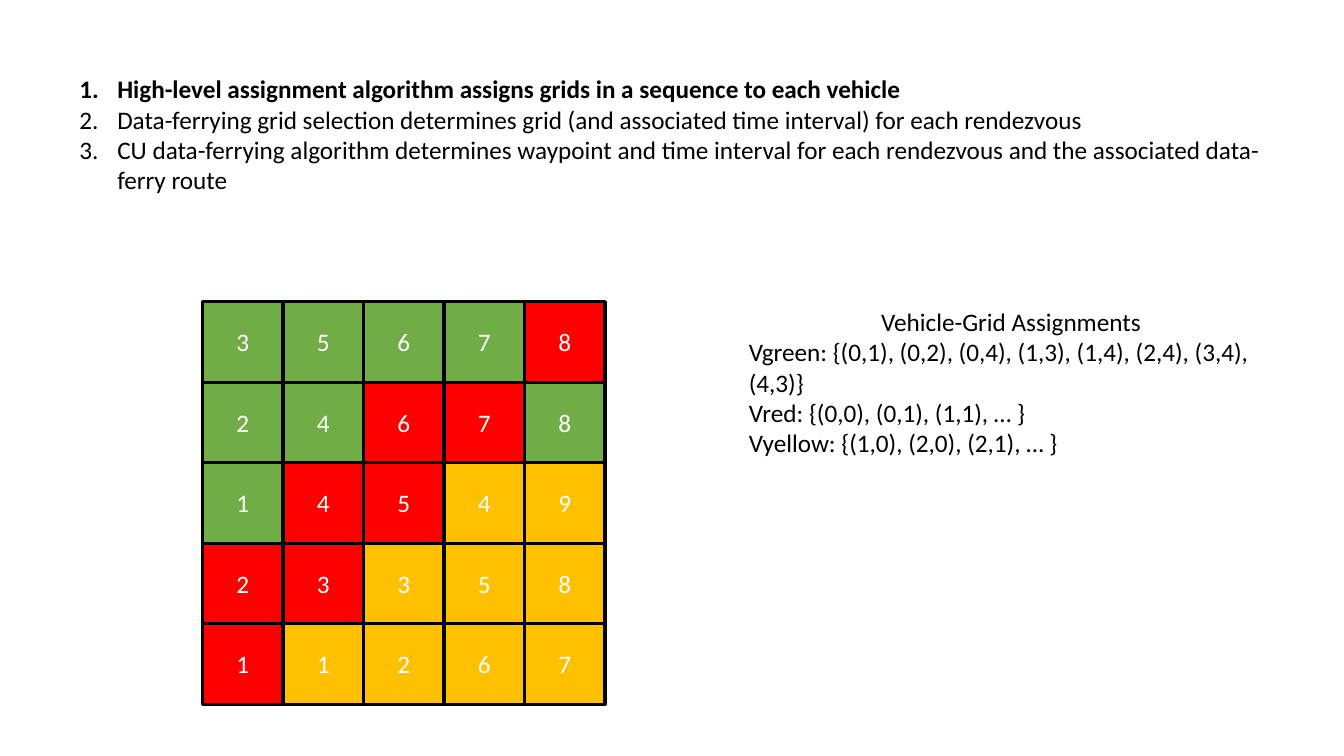
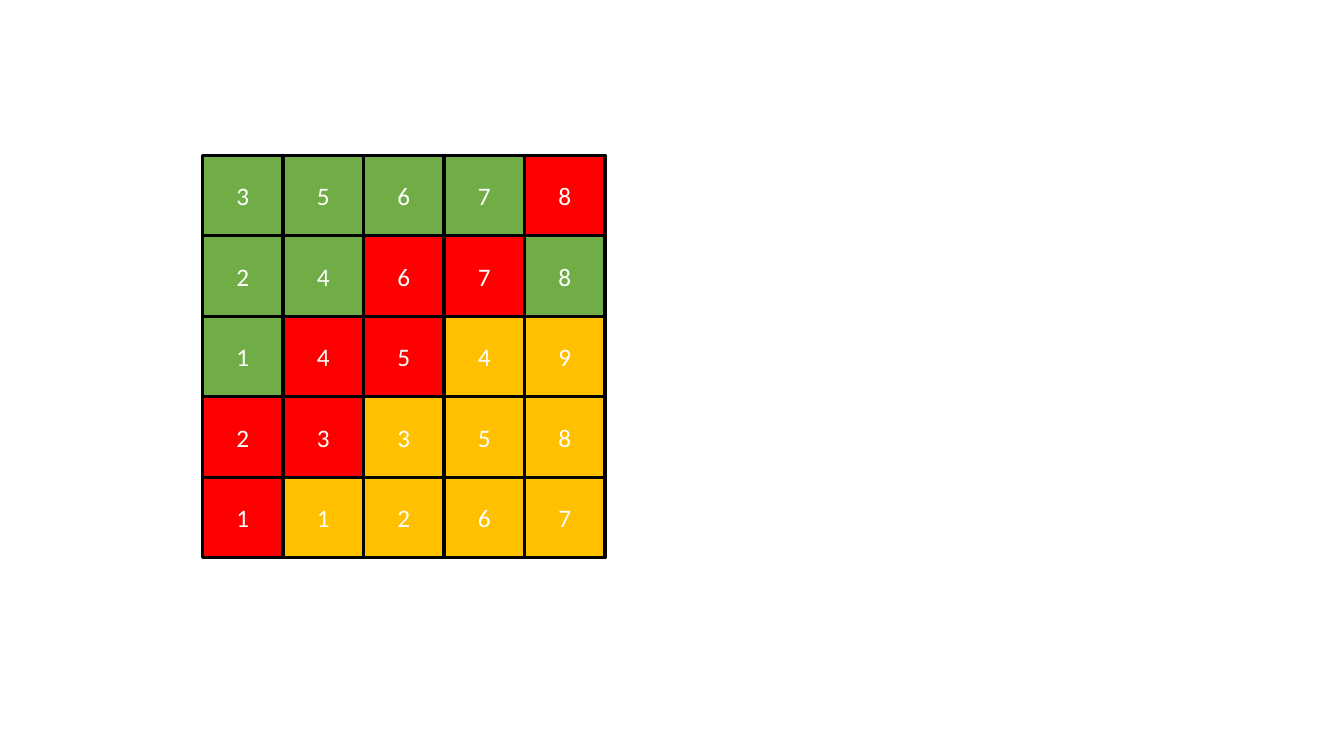
from pptx import Presentation
from pptx.dml.color import RGBColor
from pptx.enum.shapes import MSO_SHAPE
from pptx.enum.text import MSO_ANCHOR, MSO_AUTO_SIZE, PP_ALIGN
from pptx.oxml.xmlchemy import OxmlElement
from pptx.util import Pt

BLACK = RGBColor(0x00, 0x00, 0x00)
WHITE = RGBColor(0xFF, 0xFF, 0xFF)
GREEN = RGBColor(0x70, 0xAD, 0x47)
RED = RGBColor(0xFF, 0x00, 0x00)
YELLOW = RGBColor(0xFF, 0xC0, 0x00)

FONT = "Calibri"
TEXT_SIZE = Pt(18)
CELL_SIZE = 57.5
GRID_LEFT = 144.7
NUMBER_INDENT = Pt(27)

VEHICLE_COLOURS = {"G": GREEN, "R": RED, "Y": YELLOW}
VISIT_GRID = [
    "G3 G5 G6 G7 R8",
    "G2 G4 R6 R7 G8",
    "G1 R4 R5 Y4 Y9",
    "R2 R3 Y3 Y5 Y8",
    "R1 Y1 Y2 Y6 Y7",
]
PLANNING_STEPS = [
    "High-level assignment algorithm assigns grids in a sequence to each vehicle",
    "Data-ferrying grid selection determines grid (and associated time interval) "
    "for each rendezvous",
    "CU data-ferrying algorithm determines waypoint and time interval for each "
    "rendezvous and the associated data-ferry route",
]
ASSIGNMENTS = [
    "Vehicle-Grid Assignments",
    "Vgreen: {(0,1), (0,2), (0,4), (1,3), (1,4), (2,4), (3,4), (4,3)}",
    "Vred: {(0,0), (0,1), (1,1), … }",
    "Vyellow: {(1,0), (2,0), (2,1), … }",
]


def add_span(para, text, colour=BLACK, bold=False):
    """Add one run of text in the deck's font and size."""
    span = para.add_run()
    span.text = text
    span.font.name = FONT
    span.font.size = TEXT_SIZE
    span.font.bold = bold
    span.font.color.rgb = colour


def add_cell(group, left, top, colour, visit):
    """Add one grid cell with its place in the vehicle's sequence."""
    cell = group.shapes.add_shape(
        MSO_SHAPE.RECTANGLE, Pt(left), Pt(top), Pt(CELL_SIZE), Pt(CELL_SIZE))
    cell.shadow.inherit = False
    cell.fill.solid()
    cell.fill.fore_color.rgb = colour
    cell.line.color.rgb = BLACK
    cell.line.width = Pt(2.25)
    cell.text_frame.vertical_anchor = MSO_ANCHOR.MIDDLE
    para = cell.text_frame.paragraphs[0]
    para.alignment = PP_ALIGN.CENTER
    add_span(para, visit, WHITE)


def add_visit_grid(page, grid_top):
    """Add the grouped grid of vehicle visits."""
    group = page.shapes.add_group_shape()
    for row, codes in enumerate(VISIT_GRID):
        for column, (vehicle, visit) in enumerate(codes.split()):
            add_cell(group, GRID_LEFT + column * CELL_SIZE,
                     grid_top + row * CELL_SIZE,
                     VEHICLE_COLOURS[vehicle], visit)


def add_text(page, left, top, width, height, lines, bold_first=False):
    """Add a wrapped text box with one paragraph a line and return its paragraphs."""
    box = page.shapes.add_textbox(Pt(left), Pt(top), Pt(width), Pt(height))
    frame = box.text_frame
    frame.word_wrap = True
    frame.auto_size = MSO_AUTO_SIZE.SHAPE_TO_FIT_TEXT
    for index, line in enumerate(lines):
        para = frame.add_paragraph() if index else frame.paragraphs[0]
        add_span(para, line, bold=bold_first and index == 0)
    return frame.paragraphs


def number_paragraph(para):
    """Give a paragraph an automatic number and a hanging indent."""
    properties = para._p.get_or_add_pPr()
    properties.set("marL", str(NUMBER_INDENT))
    properties.set("indent", str(-NUMBER_INDENT))
    numbering = OxmlElement("a:buAutoNum")
    numbering.set("type", "arabicPeriod")
    properties.append(numbering)


def build_assignment_page(page):
    """Build the slide with the planning steps, grid and assignments."""
    add_visit_grid(page, 215.5)
    steps = add_text(page, 49.7, 49, 859.7, 94.3, PLANNING_STEPS, bold_first=True)
    for para in steps:
        number_paragraph(para)
    heading = add_text(page, 527.8, 215.3, 388.8, 116.6, ASSIGNMENTS)[0]
    heading.alignment = PP_ALIGN.CENTER


def main():
    """Build and save the deck."""
    deck = Presentation()
    deck.slide_width, deck.slide_height = Pt(960), Pt(540)
    blank = deck.slide_layouts[6]
    build_assignment_page(deck.slides.add_slide(blank))
    add_visit_grid(deck.slides.add_slide(blank), 110.9)
    deck.save("out.pptx")


main()
